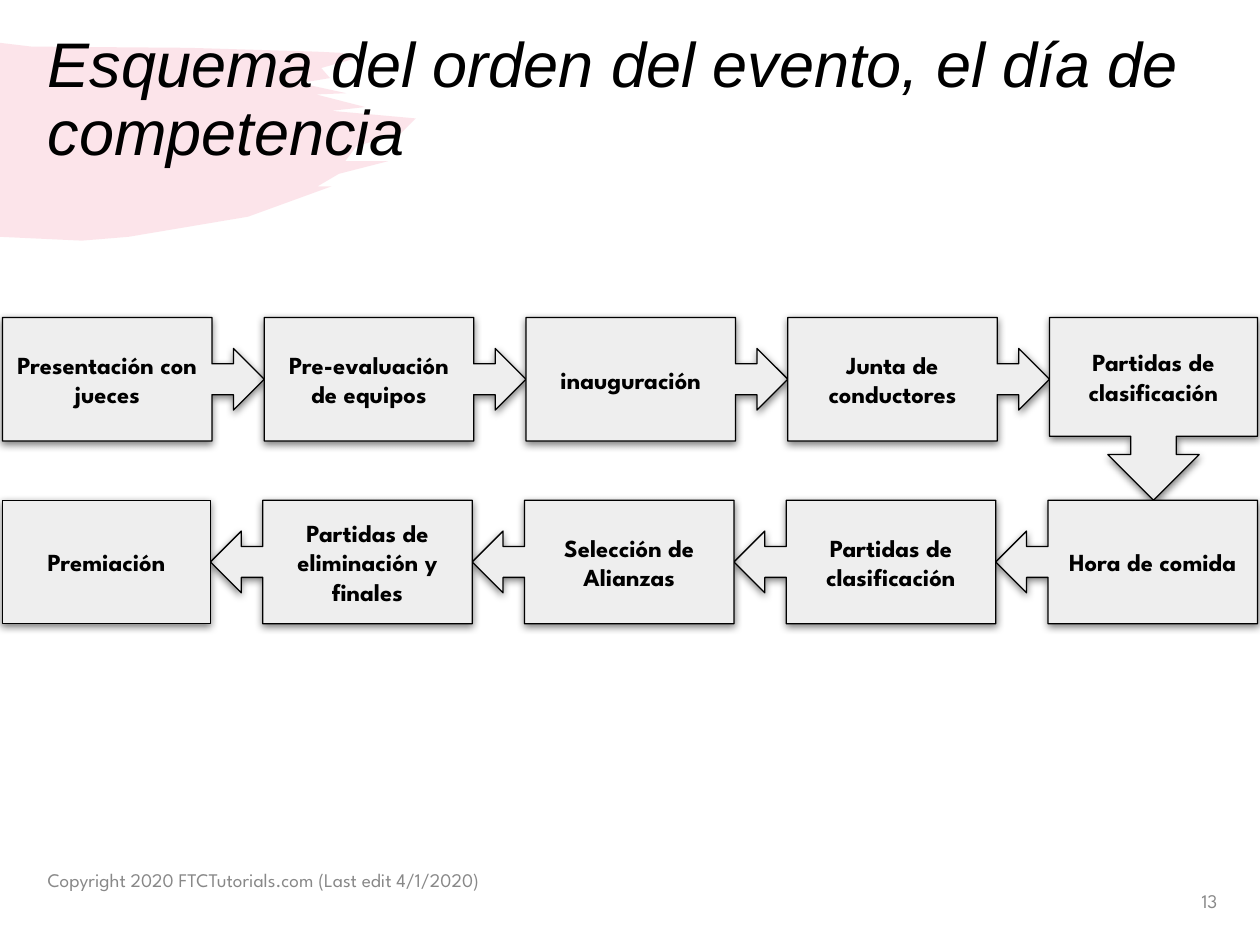
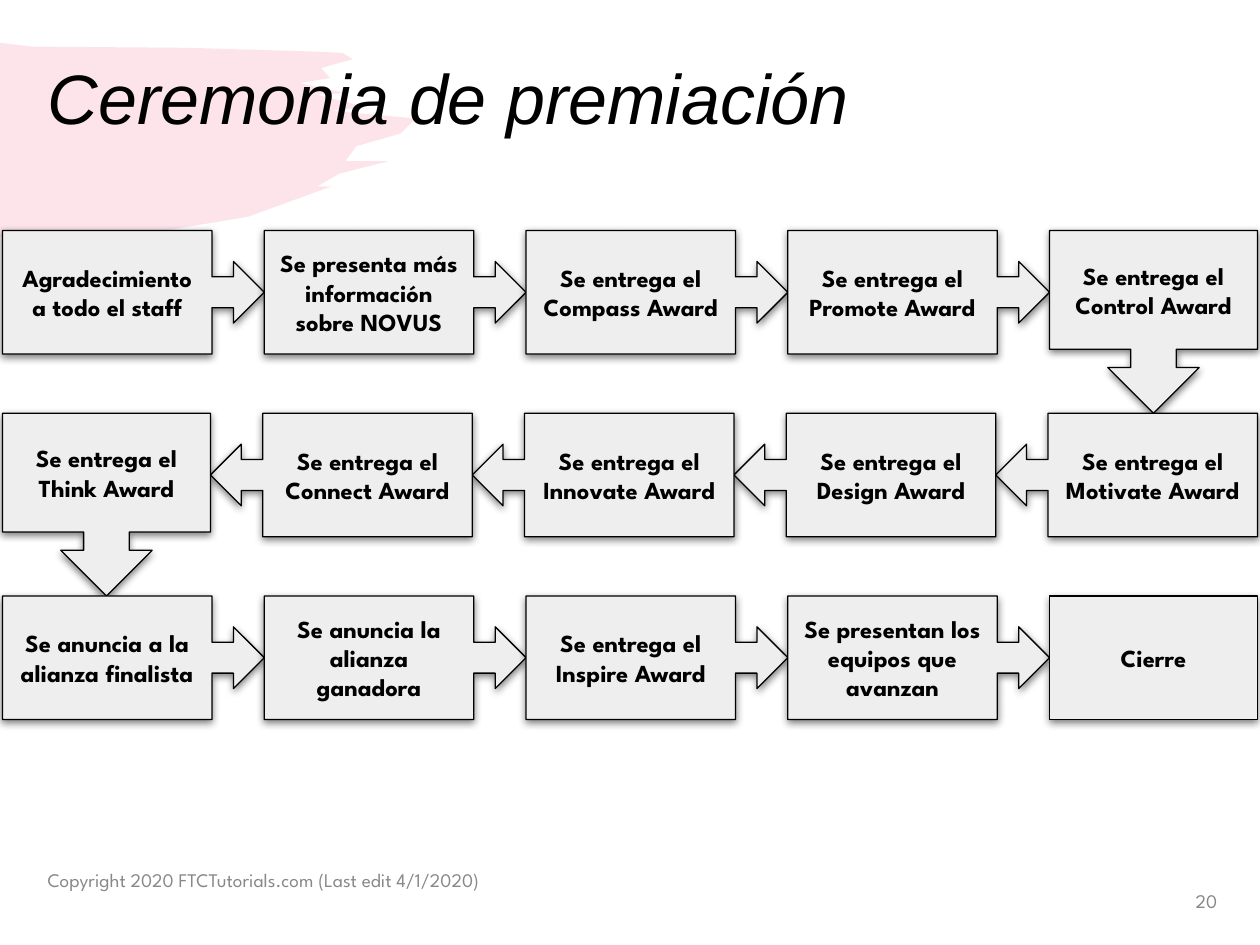
import pptx
import pptx.util
import pptx.dml.color
import pptx.enum.shapes
import pptx.enum.text
import pptx.oxml
import pptx.oxml.ns
from lxml import etree

KIND = pptx.enum.shapes.MSO_SHAPE
ALIGN = pptx.enum.text.PP_ALIGN
MIDDLE = pptx.enum.text.MSO_ANCHOR.MIDDLE
INCH = pptx.util.Inches

WIDE, HIGH = 10, 7.5
BLACK, GREY, PALE, PINK = "000000", "888888", "EEEEEE", "F07C98"
HEAD, BODY = "Arial", "League Spartan"

# Grid of the flow: five boxes a row, turning at each end
COLS = 5
EDGE = 0.02
BOX_W, BOX_H = 1.65, 0.98
COL = (WIDE - 2 * EDGE - BOX_W) / (COLS - 1)
ROW = 1.45

# Corners of the brush stroke, clockwise from the top left
STROKE = [
    (0, 0.34), (0.25, 0.37), (1.5, 0.38), (2.5, 0.41), (2.72, 0.42),
    (2.8, 0.47), (2.55, 0.54), (2.62, 0.62), (2.38, 0.66), (2.75, 0.74),
    (2.51, 0.75), (2.9, 0.85), (2.63, 0.88), (3.3, 0.94), (3.18, 1.06),
    (2.83, 1.16), (2.74, 1.28), (3.08, 1.28), (2.69, 1.38), (2.52, 1.48),
    (2.63, 1.48), (1.97, 1.72), (1.02, 1.88), (0.65, 1.91), (0, 1.88),
]

EVENT = [
    "Presentación con jueces", "Pre-evaluación de equipos", "inauguración",
    "Junta de conductores", "Partidas de clasificación",
    "Hora de comida", "Partidas de clasificación", "Selección de Alianzas",
    "Partidas de eliminación y finales", "Premiación",
]
AWARDS = [
    "Agradecimiento a todo el staff", "Se presenta más información sobre NOVUS",
    "Se entrega el Compass Award", "Se entrega el Promote Award",
    "Se entrega el Control Award",
    "Se entrega el Motivate Award", "Se entrega el Design Award",
    "Se entrega el Innovate Award", "Se entrega el Connect Award",
    "Se entrega el Think Award",
    "Se anuncia a la alianza finalista", "Se anuncia la alianza ganadora",
    "Se entrega el Inspire Award", "Se presentan los equipos que avanzan",
    "Cierre",
]


def color(code):
    return pptx.dml.color.RGBColor.from_string(code)


def paint(shape, code):
    shape.fill.solid()
    shape.fill.fore_color.rgb = color(code)


def write(shape, text, face, size, code=BLACK, align=ALIGN.LEFT, pad=0.05):
    frame = shape.text_frame
    frame.word_wrap = True
    frame.vertical_anchor = MIDDLE
    frame.margin_left = frame.margin_right = INCH(0.1)
    frame.margin_top = frame.margin_bottom = INCH(pad)
    para = frame.paragraphs[0]
    para.text = text
    para.alignment = align
    para.font.name = face
    para.font.size = pptx.util.Pt(size)
    para.font.color.rgb = color(code)
    return para


def label(slide, left, top, width, height, *text, **style):
    box = slide.shapes.add_textbox(*map(INCH, (left, top, width, height)))
    return write(box, *text, **style)


def brush(slide):
    points = [(INCH(x), INCH(y)) for x, y in STROKE]
    form = slide.shapes.build_freeform(*points[0])
    form.add_line_segments(points[1:], close=True)
    shape = form.convert_to_shape()
    shape.shadow.inherit = False
    shape.line.fill.background()
    paint(shape, PINK)
    tint = shape._element.spPr.find(".//" + pptx.oxml.ns.qn("a:srgbClr"))
    etree.SubElement(tint, pptx.oxml.ns.qn("a:alpha"), val="20000")


def shade(shape):
    """Soft shadow straight below."""
    shape.shadow.inherit = False
    effects = shape._element.spPr.find(pptx.oxml.ns.qn("a:effectLst"))
    effects.append(pptx.oxml.parse_xml(
        f'<a:outerShdw {pptx.oxml.ns.nsdecls("a")} blurRad="57150" '
        'dist="19050" dir="5400000" algn="ctr" rotWithShape="0">'
        f'<a:srgbClr val="{BLACK}"><a:alpha val="50000"/></a:srgbClr>'
        '</a:outerShdw>'))


def step(slide, kind, left, top, width, height, text, share=None):
    shape = slide.shapes.add_shape(kind, *map(INCH, (left, top, width, height)))
    if share:
        shape.adjustments[3] = share
    paint(shape, PALE)
    shape.line.color.rgb = color(BLACK)
    shape.line.width = pptx.util.Pt(0.75)
    shade(shape)
    write(shape, text, BODY, 14, align=ALIGN.CENTER, pad=0.1).font.bold = True


def flow(slide, top, steps):
    """Boxes that run right, drop a row, run left, and so on."""
    for index, text in enumerate(steps):
        row, place = divmod(index, COLS)
        back = row % 2 == 1
        left = EDGE + COL * (COLS - 1 - place if back else place)
        y = top + ROW * row
        if index == len(steps) - 1:
            step(slide, KIND.RECTANGLE, left, y, BOX_W, BOX_H, text)
        elif place == COLS - 1:
            step(slide, KIND.DOWN_ARROW_CALLOUT, left, y, BOX_W, ROW, text, 0.65)
        elif back:
            step(slide, KIND.LEFT_ARROW_CALLOUT, left + BOX_W - COL, y,
                 COL, BOX_H, text, 0.8)
        else:
            step(slide, KIND.RIGHT_ARROW_CALLOUT, left, y, COL, BOX_H, text, 0.8)


def page(deck, title, size, number, top, steps):
    slide = deck.slides.add_slide(deck.slide_layouts[6])
    brush(slide)
    # Title
    para = label(slide, 0.28, 0.4, 9.47, 0.81, title, HEAD, size)
    para.font.italic = True
    para.line_spacing = 0.9
    # Footer
    label(slide, 0.28, 6.78, 4.5, 0.4,
          "Copyright 2020 FTCTutorials.com (Last edit 4/1/2020)", BODY, 11, GREY)
    label(slide, 9.19, 6.95, 0.57, 0.4, str(number), BODY, 11, GREY,
          align=ALIGN.RIGHT)
    flow(slide, top, steps)


def main():
    deck = pptx.Presentation()
    deck.slide_width, deck.slide_height = INCH(WIDE), INCH(HIGH)
    page(deck, "Esquema del orden del evento, el día de competencia",
         36, 13, 2.52, EVENT)
    page(deck, "Ceremonia de premiación", 40, 20, 1.83, AWARDS)
    deck.save("out.pptx")


if __name__ == "__main__":
    main()
